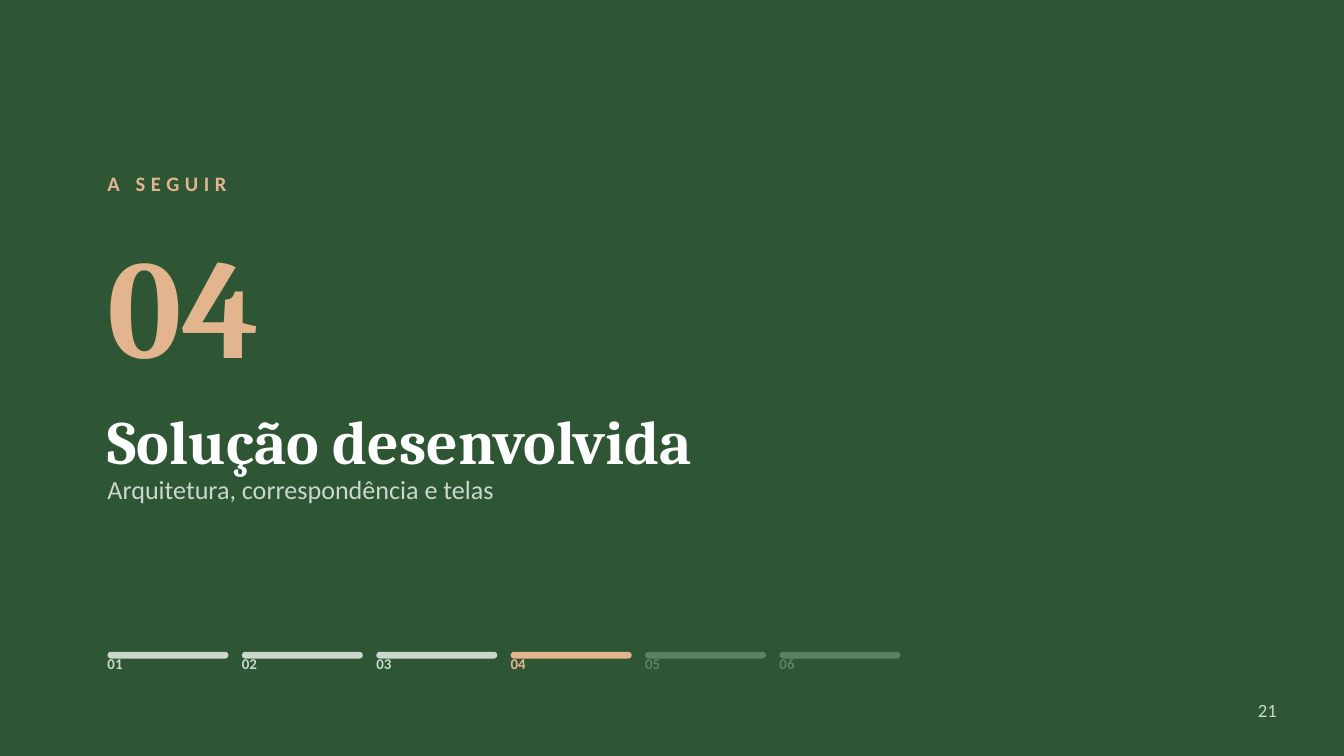
from dataclasses import dataclass

from pptx import Presentation
from pptx.dml.color import RGBColor
from pptx.enum.shapes import MSO_SHAPE as Shape
from pptx.enum.text import MSO_AUTO_SIZE as Fit, PP_ALIGN as Align
from pptx.util import Inches, Pt

GREEN = RGBColor(0x2E, 0x56, 0x34)
PEACH = RGBColor(0xE3, 0xB5, 0x8F)
WHITE = RGBColor(0xFF, 0xFF, 0xFF)
MIST = RGBColor(0xC9, 0xD8, 0xCB)
MOSS = RGBColor(0x5E, 0x80, 0x63)

# The grid has square cells, 100 columns across the slide
WIDE, HIGH = Inches(20), Inches(11.25)
CELL = WIDE / 100
LEFT = 8
STEPS, NOW = 6, 4
PITCH, SPAN = 10, 9


@dataclass(frozen=True)
class Label:
    text: str
    col: float
    row: float
    cols: float
    rows: float
    size: float
    color: RGBColor
    font: str = "Calibri"
    bold: bool = True
    align: Align = Align.LEFT
    track: float = 0  # letter spacing in points


def cells(*counts: float) -> list[int]:
    return [round(n * CELL) for n in counts]


def write(slide, item: Label) -> None:
    box = slide.shapes.add_textbox(*cells(item.col, item.row, item.cols, item.rows))
    frame = box.text_frame
    frame.word_wrap = True
    frame.auto_size = Fit.SHAPE_TO_FIT_TEXT
    frame.margin_left = frame.margin_right = 0
    frame.margin_top = frame.margin_bottom = 0
    para = frame.paragraphs[0]
    run = para.add_run()
    run.text = item.text
    para.alignment = item.align
    para.line_spacing = Pt(item.size * 1.2)
    font = para.font
    font.name, font.size, font.bold = item.font, Pt(item.size), item.bold
    font.color.rgb = item.color
    if item.track:
        run._r.get_or_add_rPr().set("spc", str(round(item.track * 100)))


def draw_bar(slide, col: float, color: RGBColor) -> None:
    bar = slide.shapes.add_shape(Shape.ROUNDED_RECTANGLE, *cells(col, 48.5, SPAN, 0.5))
    bar.adjustments[0] = 0.5
    bar.shadow.inherit = False
    bar.fill.solid()
    bar.fill.fore_color.rgb = color
    bar.line.fill.background()


def draw_step(slide, step: int) -> None:
    color = PEACH if step == NOW else MIST if step < NOW else MOSS
    col = LEFT + (step - 1) * PITCH
    draw_bar(slide, col, color)
    write(slide, Label(f"{step:02}", col, 48.7, SPAN, 2.95, 16, color))


HEADS = [
    Label("A SEGUIR", LEFT, 12.7, 50, 4.05, 22, PEACH, track=6),
    Label(f"{NOW:02}", LEFT, 16.25, 35, 13.4, 150, PEACH, "Cambria"),
    Label("Solução desenvolvida", LEFT, 30, 85, 6.55, 66, WHITE, "Cambria"),
    Label("Arquitetura, correspondência e telas", LEFT, 35.2, 85, 5.1, 28, MIST, bold=False),
]
PAGE = Label("21", 90, 52, 5, 1.9, 20, MIST, bold=False, align=Align.RIGHT)


def main() -> None:
    deck = Presentation()
    deck.slide_width, deck.slide_height = WIDE, HIGH
    slide = deck.slides.add_slide(deck.slide_layouts[6])
    back = slide.background.fill
    back.solid()
    back.fore_color.rgb = GREEN

    # Section heading
    for head in HEADS:
        write(slide, head)

    # Progress through the sections
    for step in range(1, STEPS + 1):
        draw_step(slide, step)

    # Page number
    write(slide, PAGE)
    deck.save("out.pptx")


if __name__ == "__main__":
    main()
